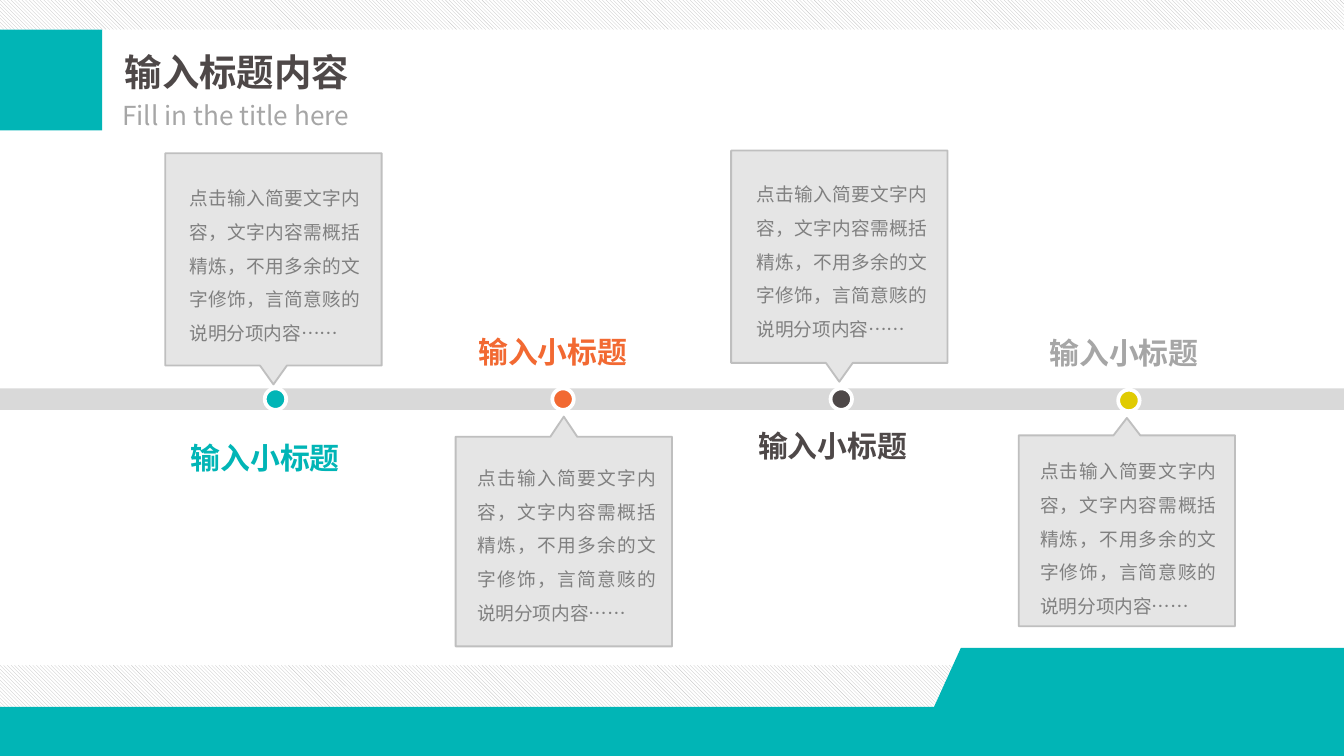
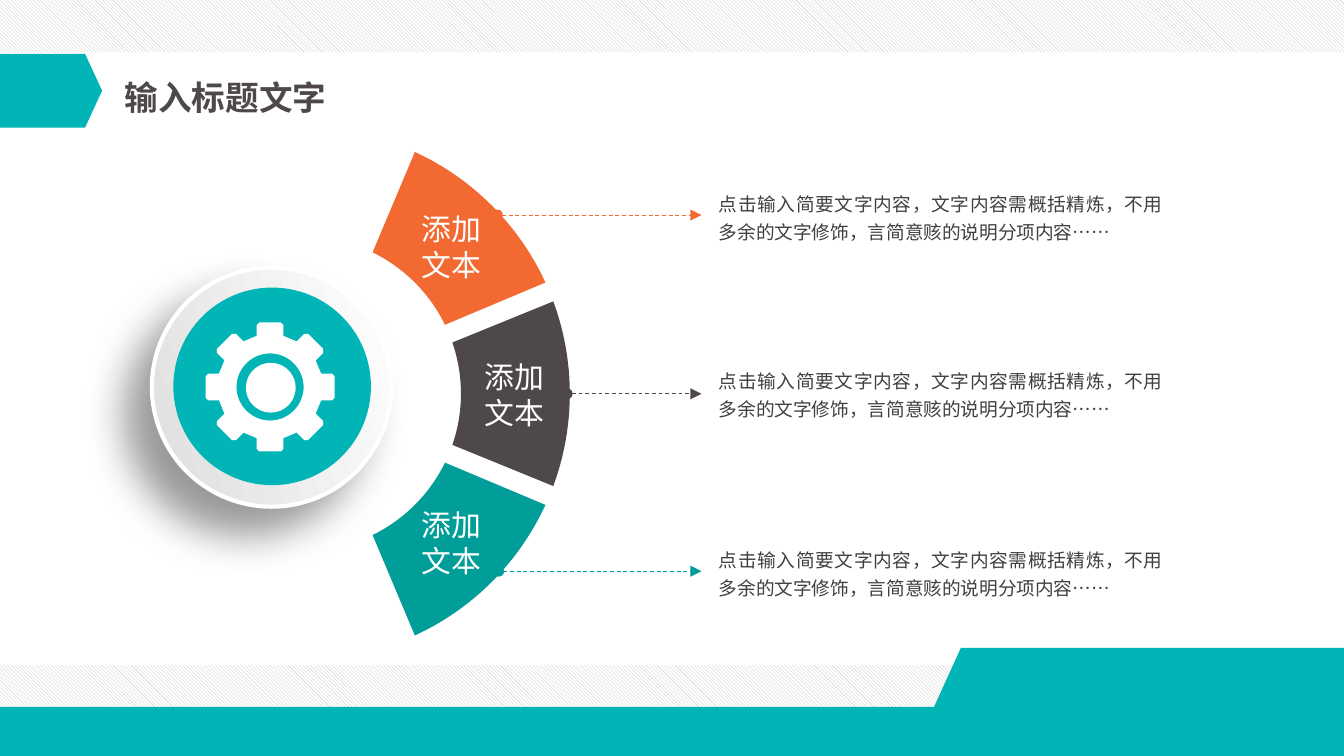
from math import cos, radians, sin

from lxml import etree
from pptx import Presentation
from pptx.dml.color import RGBColor
from pptx.enum.dml import MSO_LINE, MSO_PATTERN
from pptx.enum.shapes import MSO_CONNECTOR, MSO_SHAPE
from pptx.enum.text import MSO_AUTO_SIZE, PP_ALIGN
from pptx.oxml.ns import qn
from pptx.util import Inches, Pt

RECT, OVAL, PENTAGON = MSO_SHAPE.RECTANGLE, MSO_SHAPE.OVAL, MSO_SHAPE.PENTAGON
HATCH = MSO_PATTERN.LIGHT_DOWNWARD_DIAGONAL
STRAIGHT, DASH = MSO_CONNECTOR.STRAIGHT, MSO_LINE.DASH
LEFT, CENTER, JUSTIFY = PP_ALIGN.LEFT, PP_ALIGN.CENTER, PP_ALIGN.JUSTIFY
FIT_SHAPE = MSO_AUTO_SIZE.SHAPE_TO_FIT_TEXT

WIDTH = 10
HEIGHT = WIDTH * 9 / 16
FONT = "Noto Sans CJK SC"
TEAL, DEEP_TEAL, ORANGE, DARK, YELLOW = "01B5B6", "019D99", "F26932", "4E4848", "E0CB02"
WHITE, SILVER, GRAY = "FFFFFF", "BFBFBF", "A6A6A6"
BODY = "点击输入简要文字内容，文字内容需概括精炼，不用多余的文字修饰，言简意赅的说明分项内容……"
hex_color = RGBColor.from_string


def draw(slide, kind, geometry, fill, line=None, width=1):
    """Draw a preset shape in a box, or, with kind None, closed contours."""
    if kind is None:
        contours = [[(Inches(x), Inches(y)) for x, y in contour] for contour in geometry]
        builder = slide.shapes.build_freeform(*contours[0][0])
        builder.add_line_segments(contours[0][1:])
        for contour in contours[1:]:
            builder.move_to(*contour[0])
            builder.add_line_segments(contour[1:])
        shape = builder.convert_to_shape()
    else:
        shape = slide.shapes.add_shape(kind, *map(Inches, geometry))
    shape.shadow.inherit = False
    if fill == HATCH:
        shape.fill.patterned()
        shape.fill.pattern = HATCH
        shape.fill.fore_color.rgb = hex_color(SILVER)
        shape.fill.back_color.rgb = hex_color(WHITE)
    else:
        shape.fill.solid()
        shape.fill.fore_color.rgb = hex_color(fill)
    if line:
        shape.line.color.rgb = hex_color(line)
        shape.line.width = Pt(width)
    else:
        shape.line.fill.background()
    return shape


def add_text(slide, text, box, size, color, bold=False, align=LEFT, spacing=None,
             insets=(0, 0, 0, 0), wrap=True):
    frame = slide.shapes.add_textbox(*map(Inches, box)).text_frame
    frame.word_wrap = wrap
    frame.auto_size = FIT_SHAPE
    frame.margin_left, frame.margin_top, frame.margin_right, frame.margin_bottom = map(Inches, insets)
    paragraph = frame.paragraphs[0]
    paragraph.alignment = align
    paragraph.line_spacing = spacing
    run = paragraph.add_run()
    run.text = text
    run.font.size = Pt(size)
    run.font.bold = bold
    run.font.color.rgb = hex_color(color)
    run.font.name = FONT
    latin = run.font._element.find(qn("a:latin"))
    latin.addnext(latin.makeelement(qn("a:ea"), {"typeface": FONT}))


prs = Presentation()
prs.slide_width, prs.slide_height = Inches(WIDTH), Inches(HEIGHT)
timeline, wheel = [prs.slides.add_slide(prs.slide_layouts[6]) for _ in range(2)]

# Shared frame: hatched bands, footer, title tab and title
TITLE_INSETS = (0.1, 0.05, 0.1, 0.05)
FOOTER = [(WIDTH, HEIGHT), (0, HEIGHT), (0, 5.26), (6.95, 5.26), (7.15, 4.82), (WIDTH, 4.82)]
frames = [
    (timeline, 0.22, RECT, (0, 0.22, 0.76, 0.75), "输入标题内容", (0.83, 0.32, 1.96, 0.44), 20),
    (wheel, 0.39, PENTAGON, (0, 0.4, 0.76, 0.55), "输入标题文字", (0.83, 0.52, 1.72, 0.4), 18),
]
for slide, band_height, tab_kind, tab_box, title, title_box, title_size in frames:
    draw(slide, RECT, (0, 0, WIDTH, band_height), HATCH)
    draw(slide, RECT, (0, 4.95, WIDTH, 0.51), HATCH)
    draw(slide, None, [FOOTER], TEAL)
    tab = draw(slide, tab_kind, tab_box, TEAL)
    if tab_kind == PENTAGON:
        tab.adjustments[0] = 0.23
    add_text(slide, title, title_box, title_size, DARK, bold=True, insets=TITLE_INSETS)

# Slide 1: timeline with callout cards
add_text(timeline, "Fill in the title here", (0.81, 0.69, 1.96, 0.34), 14, GRAY,
         insets=TITLE_INSETS, wrap=False)
draw(timeline, RECT, (0, 2.89, WIDTH, 0.16), "D9D9D9")

CARD_WIDTH, TIP_HALF = 1.61, 0.1
# card left, far edge, near edge, tip; body box; heading box and colour; dot place and colour
milestones = [
    (1.23, 1.14, 2.72, 2.86, (1.41, 1.31, 1.27, 1.26), (1.42, 3.09, 1.22, 0.41), TEAL, (1.97, 2.89), TEAL),
    (3.39, 4.81, 3.25, 3.1, (3.55, 3.39, 1.33, 1.25), (3.56, 2.3, 1.24, 0.45), ORANGE, (4.11, 2.89), ORANGE),
    (5.44, 1.12, 2.7, 2.84, (5.63, 1.28, 1.27, 1.26), (5.64, 3, 1.29, 0.45), DARK, (6.18, 2.89), DARK),
    (7.58, 4.66, 3.24, 3.11, (7.74, 3.34, 1.31, 1.26), (7.81, 2.31, 1.22, 0.45), GRAY, (8.32, 2.9), YELLOW),
]
for left, far, near, tip, body_box, heading_box, heading_color, dot, dot_color in milestones:
    right, middle = left + CARD_WIDTH, left + CARD_WIDTH / 2
    card = draw(timeline, None, [[(left, far), (right, far), (right, near), (middle + TIP_HALF, near),
                                  (middle, tip), (middle - TIP_HALF, near), (left, near)]],
                SILVER, line=SILVER)
    card_color = card._element.spPr.find(qn("a:solidFill")).find(qn("a:srgbClr"))
    etree.SubElement(card_color, qn("a:alpha"), val="40000")
    add_text(timeline, BODY, body_box, 10, "808080", align=JUSTIFY, spacing=1.5)
    add_text(timeline, "输入小标题", heading_box, 16, heading_color, bold=True, align=JUSTIFY,
             spacing=1.5, insets=(0, 0.05, 0, 0))
    draw(timeline, OVAL, (*dot, 0.16, 0.16), dot_color, line=WHITE, width=2)

# Slide 2: ring segments, each with an arrow to its description
RING_X, RING_Y, OUTER, INNER = 2.26, 2.93, 1.98, 1.17
OUTER_HALF, INNER_HALF, STEPS = 20.3, 19, 24
# mid angle, colour, label place, arrow start, arrow height, description top
segments = [
    (-45, ORANGE, (3.04, 1.57), 3.7, 1.6, 1.39),
    (0, DARK, (3.51, 2.67), 4.22, 2.93, 2.71),
    (45, DEEP_TEAL, (3.04, 3.77), 3.71, 4.25, 4.04),
]
for mid_angle, color, label, arrow_x, arrow_y, text_top in segments:
    outline = []
    for radius, half in ((OUTER, OUTER_HALF), (INNER, -INNER_HALF)):
        for step in range(STEPS + 1):
            angle = radians(mid_angle - half + 2 * half * step / STEPS)
            outline.append((RING_X + radius * cos(angle), RING_Y + radius * sin(angle)))
    draw(wheel, None, [outline], color)

    arrow = wheel.shapes.add_connector(STRAIGHT, *map(Inches, (arrow_x, arrow_y, 5.22, arrow_y)))
    arrow.line.color.rgb = hex_color(color)
    arrow.line.width = Pt(0.5)
    arrow.line.dash_style = DASH
    stroke = arrow._element.spPr.find(qn("a:ln"))
    etree.SubElement(stroke, qn("a:headEnd"), type="oval")
    etree.SubElement(stroke, qn("a:tailEnd"), type="triangle")
    etree.SubElement(arrow._element.spPr, qn("a:effectLst"))

    add_text(wheel, "添加文本", (*label, 0.64, 0.54), 16, WHITE, align=CENTER)
    add_text(wheel, BODY, (5.35, text_top, 3.3, 0.42), 10, "404040", align=JUSTIFY, spacing=Pt(15))

# Medallion with gradient rim and soft shadow
rim = draw(wheel, OVAL, (1.13, 1.99, 1.78, 1.78), WHITE, line=WHITE, width=2.25)
rim.fill.gradient()
rim.fill.gradient_angle = 200
for stop, position, color in zip(rim.fill.gradient_stops, (0, 1), (WHITE, "DDDEDD")):
    stop.position = position
    stop.color.rgb = hex_color(color)
shadow = etree.SubElement(rim._element.spPr.find(qn("a:effectLst")), qn("a:outerShdw"),
                          blurRad=str(Pt(22)), dist=str(Pt(20)), dir="8100000",
                          algn="tr", rotWithShape="0")
shadow_color = etree.SubElement(shadow, qn("a:srgbClr"), val="000000")
etree.SubElement(shadow_color, qn("a:alpha"), val="40000")
draw(wheel, OVAL, (1.29, 2.14, 1.47, 1.47), TEAL)

# Gear: eight equal teeth around a round hole
GEAR_X, GEAR_Y, HOLE = 2.01, 2.88, 0.25
TOOTH = [(0.38, -0.1), (0.46, -0.1), (0.48, -0.08), (0.48, 0.08), (0.46, 0.1), (0.38, 0.1)]
teeth = []
for turn in range(0, 360, 45):
    c, s = cos(radians(turn)), sin(radians(turn))
    teeth += [(GEAR_X + x * c - y * s, GEAR_Y + x * s + y * c) for x, y in TOOTH]
hole = [(GEAR_X + HOLE * cos(radians(a)), GEAR_Y - HOLE * sin(radians(a))) for a in range(0, 360, 6)]
draw(wheel, None, [teeth, hole], WHITE)
draw(wheel, OVAL, (1.83, 2.7, 0.37, 0.37), WHITE)

prs.save("out.pptx")
